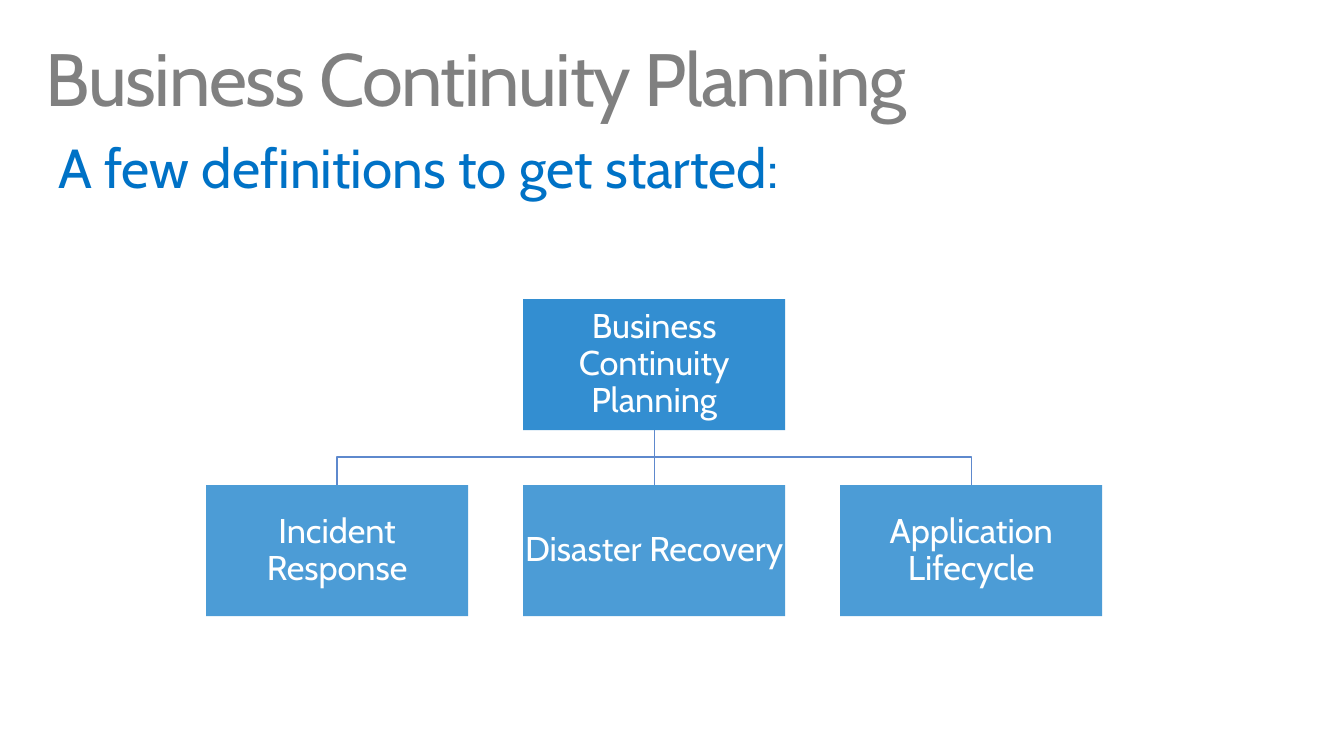
from pptx import Presentation
from pptx.dml.color import RGBColor
from pptx.enum.shapes import MSO_CONNECTOR as CONN, MSO_SHAPE as SHAPE
from pptx.enum.text import MSO_ANCHOR as ANCHOR, MSO_AUTO_SIZE as AUTO, PP_ALIGN as ALIGN
from pptx.oxml.ns import qn
from pptx.util import Inches, Pt
from lxml.etree import SubElement

PX = Inches(1) / 98.8
FONT = "Cabin"
GRAY = RGBColor(0x80, 0x80, 0x80)
BLUE = RGBColor(0x00, 0x72, 0xC6)
LINE_BLUE = RGBColor(0x5E, 0x89, 0xCD)
WHITE = RGBColor(0xFF, 0xFF, 0xFF)

BOX_W, BOX_H = 262, 131
CHILD_LEFT, CHILD_TOP, PITCH = 206, 485, 317
ROOT_TOP, BUS_Y = 299, 457
ROOT = "Business Continuity Planning"
CHILDREN = ["Incident Response", "Disaster Recovery", "Application Lifecycle"]


def px(n):
    return round(n * PX)


def write(sp, text, size, color, align, anchor, margins):
    """Put one formatted paragraph into a shape; margins are horizontal, vertical."""
    tf = sp.text_frame
    tf.word_wrap = True
    tf.auto_size = AUTO.NONE
    tf.vertical_anchor = anchor
    tf.margin_left = tf.margin_right = px(margins[0])
    tf.margin_top = tf.margin_bottom = px(margins[1])
    p = tf.paragraphs[0]
    p.text = text
    p.alignment = align
    p.line_spacing = 0.9
    p.space_before = Pt(0)
    p.font.name, p.font.size, p.font.color.rgb = FONT, Pt(size), color
    return p


def place(sp, x, y, w, h):
    sp.left, sp.top, sp.width, sp.height = map(px, (x, y, w, h))


def add_box(slide, text, x, y, opacity):
    sp = slide.shapes.add_shape(SHAPE.RECTANGLE, *map(px, (x, y, BOX_W, BOX_H)))
    sp.shadow.inherit = False
    sp.line.fill.background()
    sp.fill.solid()
    sp.fill.fore_color.rgb = BLUE
    color = sp.fill._xPr.find(qn("a:solidFill"))[0]
    SubElement(color, qn("a:alpha"), val=str(opacity * 1000))
    write(sp, text, 25, WHITE, ALIGN.CENTER, ANCHOR.MIDDLE, (1, 2))
    return sp


def style_line(line):
    line.color.rgb = LINE_BLUE
    line.width = Pt(0.85)


def add_trunk(slide, x, root, child):
    line = slide.shapes.add_connector(
        CONN.STRAIGHT, *map(px, (x, ROOT_TOP + BOX_H, x, CHILD_TOP)))
    style_line(line.line)
    SubElement(line._element.spPr, qn("a:effectLst"))
    line.begin_connect(root, 2)
    line.end_connect(child, 0)


def add_elbow(slide, x1, x2):
    """Draw an open path from under the root box to the top of a child box."""
    path = slide.shapes.build_freeform(x1, ROOT_TOP + BOX_H, scale=PX)
    path.add_line_segments([(x1, BUS_Y), (x2, BUS_Y), (x2, CHILD_TOP)], close=False)
    sp = path.convert_to_shape()
    sp.shadow.inherit = False
    sp.fill.background()
    style_line(sp.line)


def add_headings(slide):
    title, body = slide.placeholders
    place(title, 30, 32, 1284, 99)
    p = write(title, ROOT, 54, GRAY, ALIGN.LEFT, ANCHOR.TOP, (16, 10))
    p.runs[0].font._element.set("spc", "-108")

    place(body, 30, 131, 1284, 80)
    p = write(body, "A few definitions to get started:", 40, BLUE,
              ALIGN.LEFT, ANCHOR.TOP, (28, 10))
    pPr = p._p.get_or_add_pPr()
    pPr.set("marL", "0")
    pPr.set("indent", "0")
    pPr.insert_element_before(pPr.makeelement(qn("a:buNone")), "a:tabLst", "a:defRPr")


def add_hierarchy(slide):
    lefts = [CHILD_LEFT + i * PITCH for i in range(len(CHILDREN))]
    left, middle, right = [x + BOX_W // 2 for x in lefts]

    # Outer branches
    for x in (right, left):
        add_elbow(slide, middle, x)

    # Boxes
    root = add_box(slide, ROOT, lefts[1], ROOT_TOP, 80)
    boxes = [add_box(slide, text, x, CHILD_TOP, 70) for text, x in zip(CHILDREN, lefts)]

    # Middle branch
    add_trunk(slide, middle, root, boxes[1])


def main():
    prs = Presentation()
    prs.slide_width, prs.slide_height = Inches(13.6), Inches(7.65)
    slide = prs.slides.add_slide(prs.slide_layouts[1])
    add_headings(slide)
    add_hierarchy(slide)
    prs.save("out.pptx")


if __name__ == "__main__":
    main()
